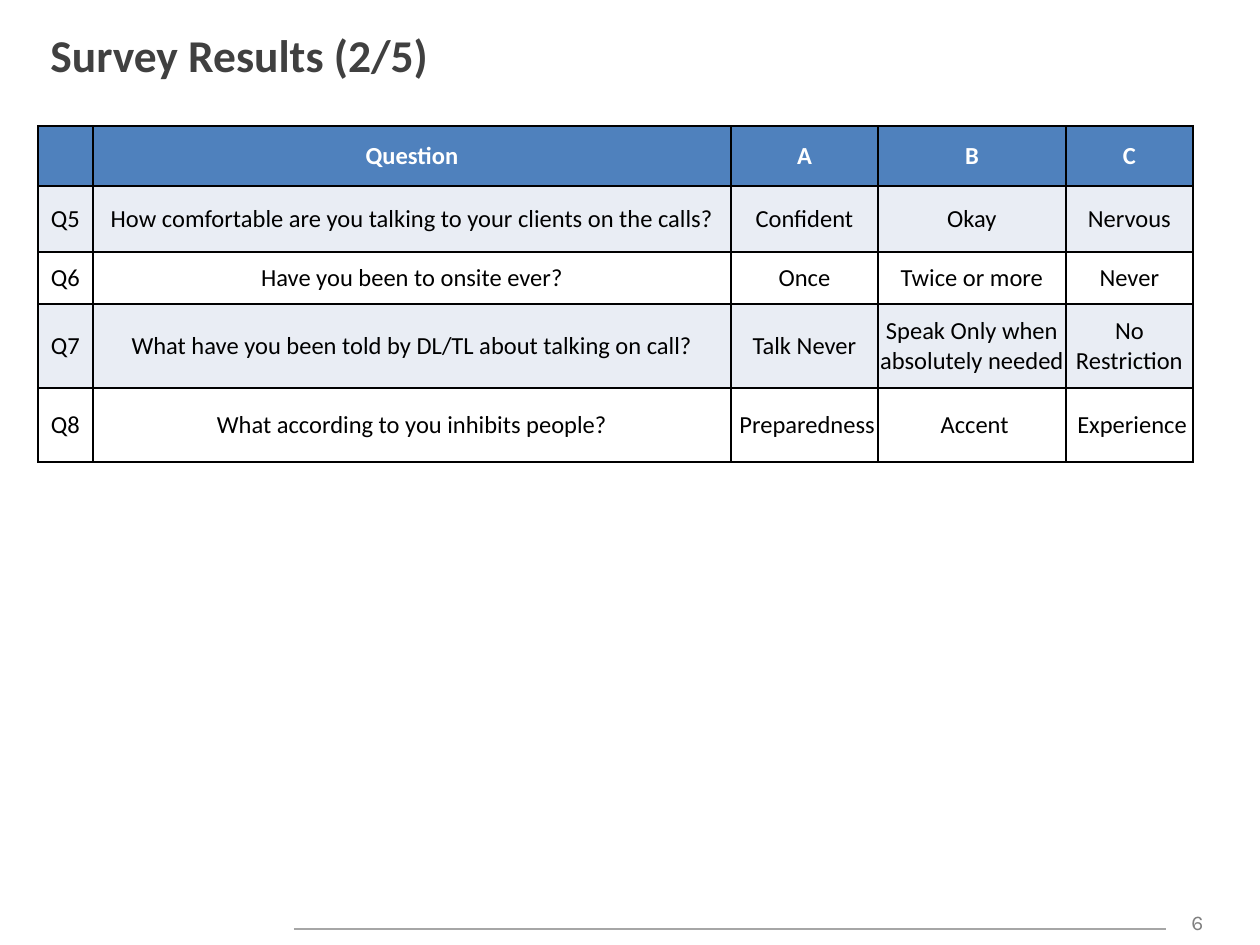
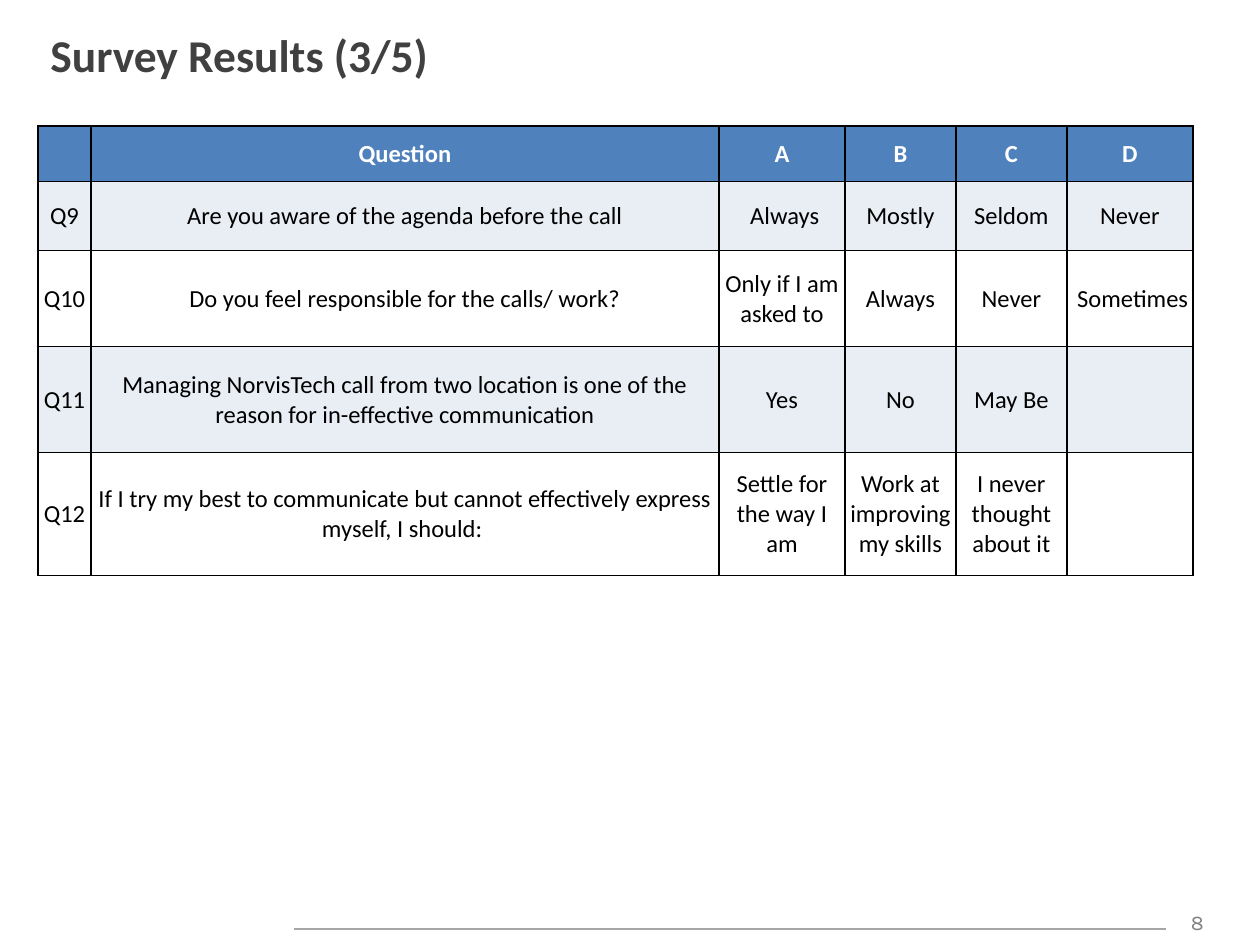
from lxml import etree
from pptx import Presentation
from pptx.dml.color import RGBColor
from pptx.enum.shapes import MSO_CONNECTOR
from pptx.enum.text import MSO_ANCHOR, PP_ALIGN
from pptx.oxml.ns import qn
from pptx.util import Emu, Pt

LINE = MSO_CONNECTOR.STRAIGHT
MIDDLE, TOP = MSO_ANCHOR.MIDDLE, MSO_ANCHOR.TOP
LEFT, CENTER = PP_ALIGN.LEFT, PP_ALIGN.CENTER

BLACK = RGBColor(0x00, 0x00, 0x00)
WHITE = RGBColor(0xFF, 0xFF, 0xFF)
BLUE = RGBColor(0x4F, 0x81, 0xBD)
PALE = RGBColor(0xE9, 0xED, 0xF4)
DARK = RGBColor(0x40, 0x40, 0x40)
GRAY = RGBColor(0x80, 0x80, 0x80)
RULE = RGBColor(0xA6, 0xA6, 0xA6)

BODY, FOOT = "Calibri", "Karla"
WIDE, HIGH = 1260, 945
TITLE = (38, 15, 1179, 79)
GRID = (38, 126)
FOOTER = (294, 903, 935, 38)

# Title, page number, column widths, row heights, rows of text
SURVEYS = [
    ("Survey Results (2/5)", 6,
     [55, 638, 147, 188, 127], [60, 66, 52, 84, 74],
     [["", "Question", "A", "B", "C"],
      ["Q5", "How comfortable are you talking to your clients on the calls?",
       "Confident", "Okay", "Nervous"],
      ["Q6", "Have you been to onsite ever?",
       "Once", "Twice or more", "Never"],
      ["Q7", "What have you been told by DL/TL about talking on call?",
       "Talk Never", "Speak Only when absolutely needed", "No Restriction"],
      ["Q8", "What according to you inhibits people?",
       " Preparedness", " Accent", " Experience"]]),
    ("Survey Results (3/5)", 8,
     [53, 628, 126, 111, 111, 126], [55, 69, 96, 106, 123],
     [["", "Question", "A", "B", "C", "D"],
      ["Q9", "Are you aware of the agenda before the call",
       " Always", "Mostly", "Seldom", "Never"],
      ["Q10", "Do you feel responsible for the calls/ work?",
       "Only if I am asked to", "Always", "Never", " Sometimes"],
      ["Q11", "Managing NorvisTech call from two location is one of the "
       "reason for in-effective communication",
       "Yes", "No", "May Be", ""],
      ["Q12", "If I try my best to communicate but cannot effectively "
       "express myself, I should: ",
       "Settle for the way I am", "Work at improving my skills",
       "I never thought about it", ""]]),
]


def px(n):
    return Emu(round(n * 914400 / 126))


def write(frame, text, size, color, font=BODY, bold=False, align=CENTER):
    para = frame.paragraphs[0]
    para.alignment = align
    run = para.add_run()
    run.text = text
    run.font.name = font
    run.font.size = Pt(size)
    run.font.bold = bold
    run.font.color.rgb = color


def add_text(slide, box, text, size, color, anchor=TOP, **style):
    frame = slide.shapes.add_textbox(*map(px, box)).text_frame
    frame.word_wrap = True
    frame.vertical_anchor = anchor
    write(frame, text, size, color, **style)


def add_footer(slide, box, page):
    x, y, w, h = box
    num = 63
    # Rule up to the page number
    end, level = x + w - num, y + 26
    rule = slide.shapes.add_connector(
        LINE, px(x), px(level), px(end), px(level))
    rule.line.color.rgb = RULE
    rule.line.width = Pt(0.75)
    etree.SubElement(rule._element.spPr, qn("a:effectLst"))
    # Page number
    add_text(slide, (end, y, num, h), str(page), 12, GRAY, font=FOOT)


def add_border(cell):
    props = cell._tc.get_or_add_tcPr()
    for side in ("a:lnL", "a:lnR", "a:lnT", "a:lnB"):
        edge = etree.SubElement(props, qn(side), w=str(Pt(1)))
        fill = etree.SubElement(edge, qn("a:solidFill"))
        etree.SubElement(fill, qn("a:srgbClr"), val=str(BLACK))


def fill_cell(cell, text, row):
    head = row == 0
    add_border(cell)
    cell.fill.solid()
    cell.fill.fore_color.rgb = BLUE if head else PALE if row % 2 else WHITE
    if not text:
        return
    pad = px(13 if head else 1)
    cell.margin_left = cell.margin_right = cell.margin_top = pad
    cell.margin_bottom = pad if head else 0
    cell.vertical_anchor = MIDDLE
    write(cell.text_frame, text, 14, WHITE if head else BLACK, bold=head)


def add_grid(slide, spot, cols, rows, data):
    box = (*spot, sum(cols), sum(rows))
    table = slide.shapes.add_table(
        len(rows), len(cols), *map(px, box)).table
    table.first_row = table.horz_banding = False
    for col, width in zip(table.columns, cols):
        col.width = px(width)
    for row, height in zip(table.rows, rows):
        row.height = px(height)
    for r, line in enumerate(data):
        for c, text in enumerate(line):
            fill_cell(table.cell(r, c), text, r)


def add_survey(deck, title, page, cols, rows, data):
    slide = deck.slides.add_slide(deck.slide_layouts[6])
    add_footer(slide, FOOTER, page)
    add_text(slide, TITLE, title, 26, DARK, MIDDLE, bold=True, align=LEFT)
    add_grid(slide, GRID, cols, rows, data)


def main():
    deck = Presentation()
    deck.slide_width, deck.slide_height = px(WIDE), px(HIGH)
    for survey in SURVEYS:
        add_survey(deck, *survey)
    deck.save("out.pptx")


if __name__ == "__main__":
    main()
